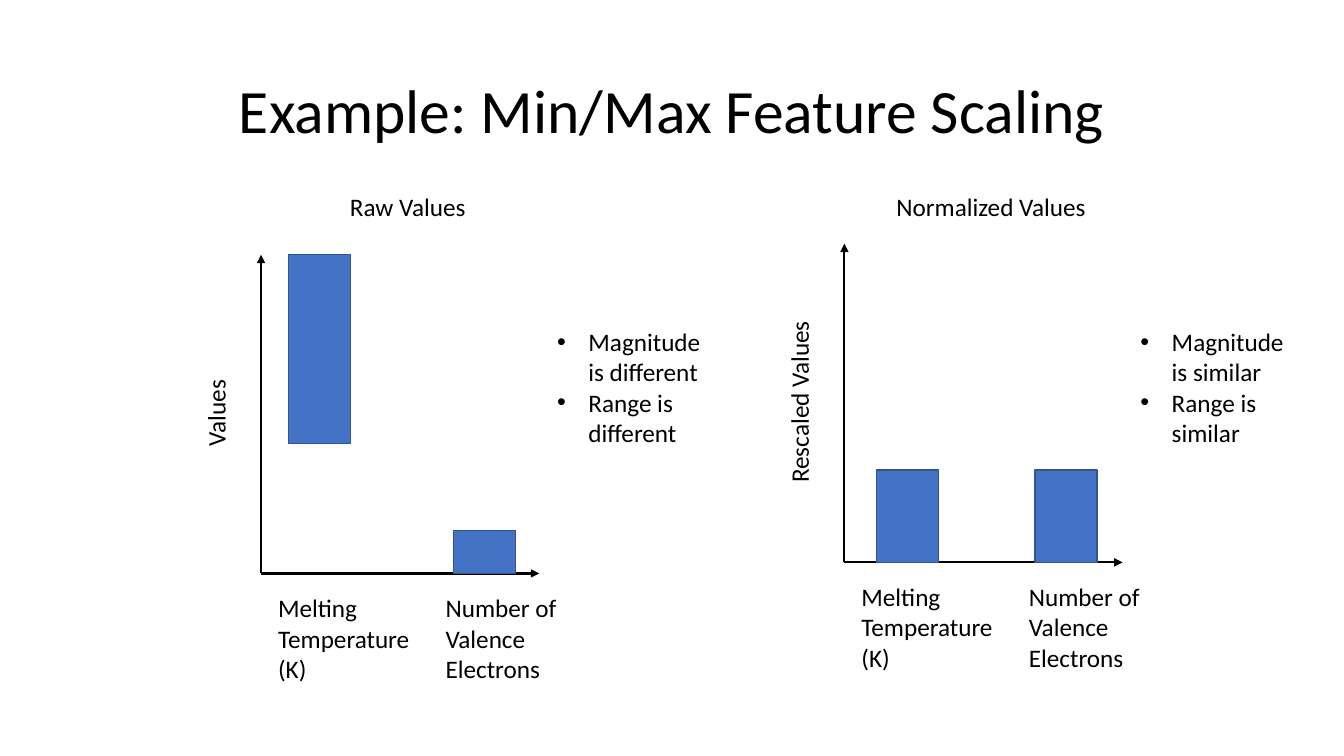
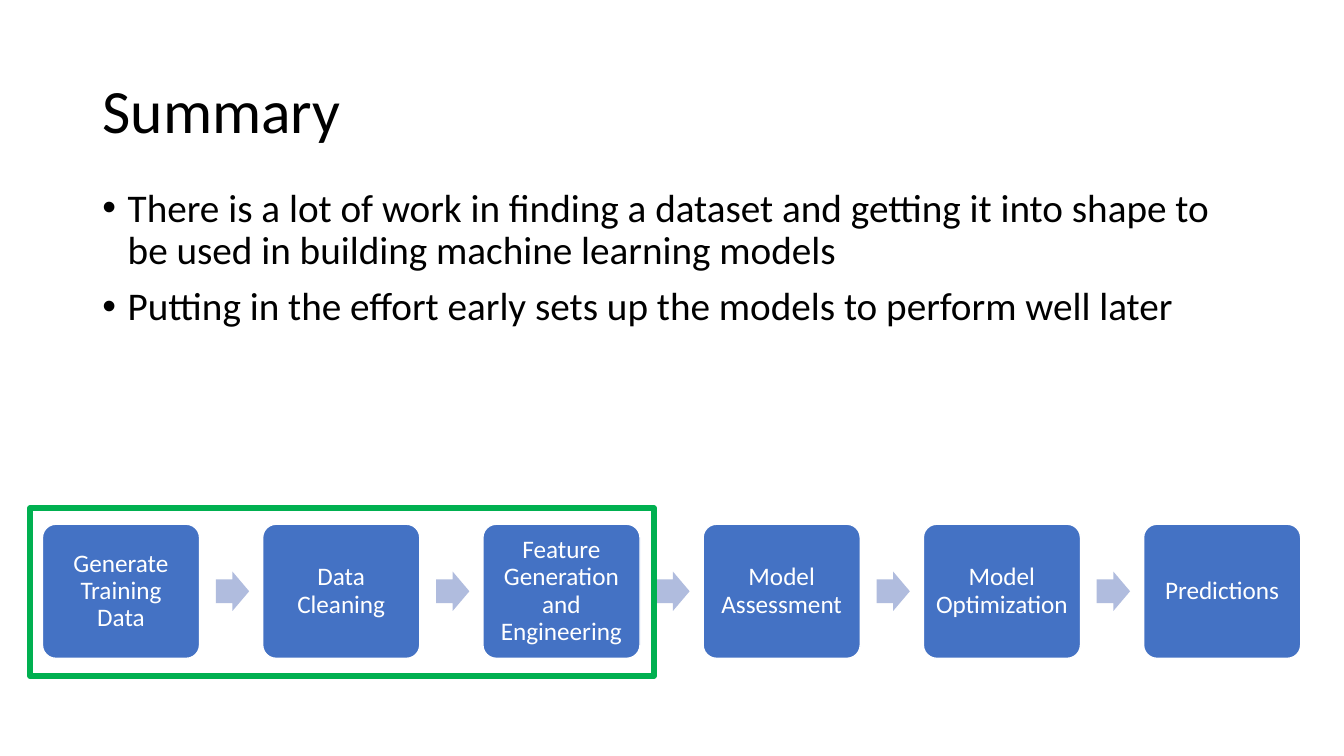
from dataclasses import dataclass

from lxml.etree import SubElement
from pptx import Presentation
from pptx.dml.color import RGBColor
from pptx.enum.shapes import MSO_CONNECTOR, MSO_SHAPE
from pptx.enum.text import MSO_ANCHOR, MSO_AUTO_SIZE, PP_ALIGN
from pptx.oxml.ns import qn
from pptx.util import Cm, Pt

FONT = "Calibri"
BLACK = RGBColor(0x00, 0x00, 0x00)
WHITE = RGBColor(0xFF, 0xFF, 0xFF)
BLUE = RGBColor(0x44, 0x72, 0xC4)
DARK_BLUE = RGBColor(0x32, 0x54, 0x91)
PALE_BLUE = RGBColor(0xB0, 0xBC, 0xDE)
GREEN = RGBColor(0x00, 0xB0, 0x50)

TITLE_ONLY = 5
AXIS_WIDTH, AXIS_HEIGHT = 7.01, 8.03
BAR_WIDTH = 1.57
LABEL_WIDTH = 4.22
LINE_HEIGHT = 1.02
STEP_LEFT, STEP_TOP, STEP_PITCH = 1.07, 13.21, 5.55
STEP_WIDTH, STEP_HEIGHT = 3.96, 3.38
ARROW_WIDTH, ARROW_HEIGHT = 0.84, 0.99

CATEGORIES = ("Melting Temperature (K)", "Number of Valence Electrons")
SUMMARY = (
    "There is a lot of work in finding a dataset and getting it into shape "
    "to be used in building machine learning models",
    "Putting in the effort early sets up the models to perform well later",
)
STEPS = (
    "Generate Training Data",
    "Data Cleaning",
    "Feature Generation and Engineering",
    "Model Assessment",
    "Model Optimization",
    "Predictions",
)


@dataclass
class RangePlot:
    """Describe a plot by its origin, its texts and its bars (offset, base, height)."""

    left: float
    bottom: float
    heading: str
    axis_title: str
    bars: tuple
    remarks: tuple


PLOTS = (
    RangePlot(6.58, 14.45, "Raw Values", "Values",
              ((0.69, 3.28, 4.75), (4.85, 0, 1.08)),
              ("Magnitude is different", "Range is different")),
    RangePlot(21.28, 14.17, "Normalized Values", "Rescaled Values",
              ((0.81, 0, 2.33), (4.8, 0, 2.33)),
              ("Magnitude is similar", "Range is similar")),
)


def format_text(text_frame, size=18, color=BLACK, align=PP_ALIGN.LEFT, spacing=1.0):
    """Give every paragraph of a frame the same look."""
    for paragraph in text_frame.paragraphs:
        paragraph.alignment = align
        paragraph.line_spacing = spacing
        for run in paragraph.runs:
            run.font.name = FONT
            run.font.size = Pt(size)
            run.font.color.rgb = color


def add_titled_slide(presentation, title, align):
    """Add a slide with a formatted title."""
    slide = presentation.slides.add_slide(presentation.slide_layouts[TITLE_ONLY])
    shape = slide.shapes.title
    shape.left, shape.top, shape.width, shape.height = Cm(2.33), Cm(1.01), Cm(29.21), Cm(3.68)
    text_frame = shape.text_frame
    text_frame.text = title
    text_frame.auto_size = MSO_AUTO_SIZE.NONE
    text_frame.vertical_anchor = MSO_ANCHOR.MIDDLE
    format_text(text_frame, 44, align=align, spacing=0.9)
    return slide


def add_text(slide, text, left, top, width, height, **style):
    """Add a wrapping text box."""
    shape = slide.shapes.add_textbox(Cm(left), Cm(top), Cm(width), Cm(height))
    shape.text_frame.word_wrap = True
    shape.text_frame.text = text
    format_text(shape.text_frame, **style)
    return shape


def add_bullets(slide, items, left, top, width, height, indent, space_before=0, **style):
    """Add a text box with one bullet per item."""
    shape = add_text(slide, "\n".join(items), left, top, width, height, **style)
    for paragraph in shape.text_frame.paragraphs:
        paragraph.space_before = Pt(space_before)
        properties = paragraph._p.get_or_add_pPr()
        properties.set("marL", str(Cm(indent)))
        properties.set("indent", str(-Cm(indent)))
        SubElement(properties, qn("a:buFont"), typeface="Arial")
        SubElement(properties, qn("a:buChar"), char="•")


def add_shape(slide, kind, left, top, width, height, fill=None, line=None, line_width=1):
    """Add a flat preset shape, with fill and outline only where given."""
    shape = slide.shapes.add_shape(kind, Cm(left), Cm(top), Cm(width), Cm(height))
    shape.shadow.inherit = False
    if fill is None:
        shape.fill.background()
    else:
        shape.fill.solid()
        shape.fill.fore_color.rgb = fill
    if line is None:
        shape.line.fill.background()
    else:
        shape.line.color.rgb = line
        shape.line.width = Pt(line_width)
    return shape


def add_axis(slide, left, bottom, end_left, end_top):
    """Add an axis line with an arrowhead at its end."""
    connector = slide.shapes.add_connector(
        MSO_CONNECTOR.STRAIGHT, Cm(left), Cm(bottom), Cm(end_left), Cm(end_top))
    connector.line.color.rgb = BLACK
    connector.line.width = Pt(1.5)
    SubElement(connector.line._get_or_add_ln(), qn("a:tailEnd"), type="triangle")
    SubElement(connector._element.spPr, qn("a:effectLst"))


def add_range_plot(slide, plot):
    """Draw axes, bars, labels and remarks of one plot."""
    left, bottom = plot.left, plot.bottom
    add_axis(slide, left, bottom, left + AXIS_WIDTH, bottom)
    add_axis(slide, left, bottom, left, bottom - AXIS_HEIGHT)
    add_text(slide, plot.heading, left + 0.19, 4.7, AXIS_WIDTH, LINE_HEIGHT,
             align=PP_ALIGN.CENTER)
    axis_title = add_text(slide, plot.axis_title, left - 4.37, bottom - 4.55, 6.45, LINE_HEIGHT,
                          align=PP_ALIGN.CENTER)
    axis_title.rotation = 270
    for index, category in enumerate(CATEGORIES):
        add_text(slide, category, left + 0.18 + index * LABEL_WIDTH, bottom + 0.36,
                 LABEL_WIDTH, 2.57)
    for offset, base, height in plot.bars:
        add_shape(slide, MSO_SHAPE.RECTANGLE, left + offset, bottom - base - height,
                  BAR_WIDTH, height, BLUE, DARK_BLUE)
    add_bullets(slide, plot.remarks, left + 7.21, 8.1, 4.57, 3.33, indent=0.79)


def add_step(slide, text, left):
    """Add one rounded box of the process."""
    shape = add_shape(slide, MSO_SHAPE.ROUNDED_RECTANGLE, left, STEP_TOP,
                      STEP_WIDTH, STEP_HEIGHT, BLUE, WHITE)
    shape.adjustments[0] = 0.1
    text_frame = shape.text_frame
    text_frame.text = text
    text_frame.word_wrap = True
    text_frame.vertical_anchor = MSO_ANCHOR.MIDDLE
    text_frame.margin_left = text_frame.margin_right = Cm(0.2)
    text_frame.margin_top = text_frame.margin_bottom = Cm(0.2)
    format_text(text_frame, color=WHITE, align=PP_ALIGN.CENTER, spacing=0.9)


def add_process(slide):
    """Add the row of steps with an arrow in each gap."""
    for index, text in enumerate(STEPS):
        left = STEP_LEFT + index * STEP_PITCH
        add_step(slide, text, left)
        if index < len(STEPS) - 1:
            arrow = add_shape(slide, MSO_SHAPE.RIGHT_ARROW, left + STEP_WIDTH + 0.41,
                              STEP_TOP + (STEP_HEIGHT - ARROW_HEIGHT) / 2,
                              ARROW_WIDTH, ARROW_HEIGHT, PALE_BLUE)
            arrow.adjustments[0] = 0.6


def build_scaling_slide(presentation):
    """Build the comparison of raw and normalized values."""
    slide = add_titled_slide(presentation, "Example: Min/Max Feature Scaling", PP_ALIGN.CENTER)
    for plot in PLOTS:
        add_range_plot(slide, plot)


def build_summary_slide(presentation):
    """Build the summary with the process and its framed first steps."""
    slide = add_titled_slide(presentation, "Summary", PP_ALIGN.LEFT)
    add_bullets(slide, SUMMARY, 2.33, 4.62, 29.21, 4.5, indent=0.64,
                space_before=10, size=28, spacing=0.9)
    add_process(slide)
    add_shape(slide, MSO_SHAPE.RECTANGLE, 0.76, 12.8, 15.72, 4.24, line=GREEN, line_width=4)


def main():
    """Build and save the presentation."""
    presentation = Presentation()
    presentation.slide_width, presentation.slide_height = Cm(33.87), Cm(19.05)
    build_scaling_slide(presentation)
    build_summary_slide(presentation)
    presentation.save("out.pptx")


if __name__ == "__main__":
    main()
